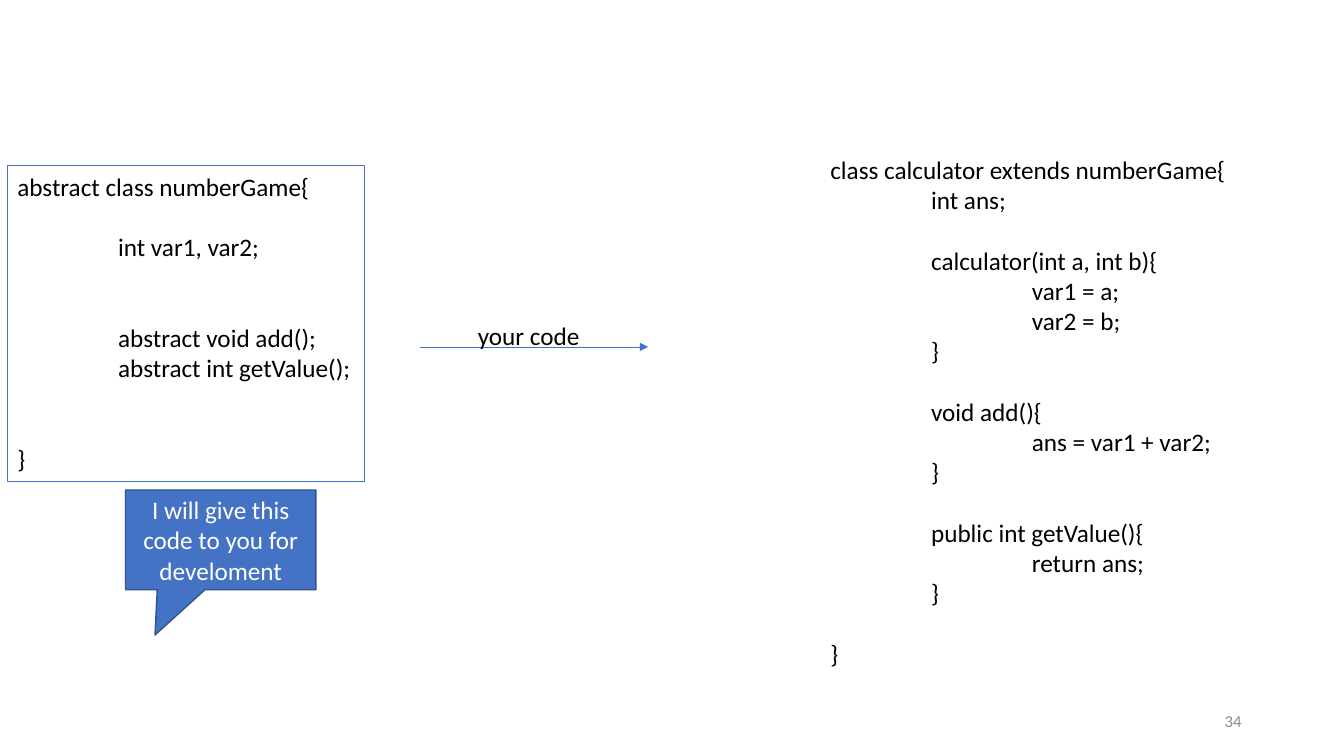
import pptx
import pptx.util
import pptx.dml.color
import pptx.enum.shapes
import pptx.enum.text
import pptx.oxml.ns
import lxml.etree

Pt = pptx.util.Pt
SHAPE = pptx.enum.shapes.MSO_SHAPE
ALIGN = pptx.enum.text.PP_ALIGN
ANCHOR = pptx.enum.text.MSO_ANCHOR
LINE_PITCH = 21.6
INDENT = 72

GAME_CODE = [
    (0, 0, "abstract class numberGame{"),
    (1, 1, "int var1, var2;"),
    (2, 1, "abstract void add();"),
    (0, 1, "abstract int getValue();"),
    (2, 0, "}"),
]
CALCULATOR_CODE = [
    (0, 0, "class calculator extends numberGame{"),
    (0, 1, "int ans;"),
    (1, 1, "calculator(int a, int b){"),
    (0, 2, "var1 = a;"),
    (0, 2, "var2 = b;"),
    (0, 1, "}"),
    (1, 1, "void add(){"),
    (0, 2, "ans = var1 + var2;"),
    (0, 1, "}"),
    (1, 1, "public int getValue(){"),
    (0, 2, "return ans;"),
    (0, 1, "}"),
    (1, 0, "}"),
]


def rgb(value):
    return pptx.dml.color.RGBColor.from_string(value)


def set_all(obj, values):
    for name, value in values.items():
        setattr(obj, name, value)


def outline(line, color, width):
    line.color.rgb = rgb(color)
    line.width = Pt(width)


def write(tf, lines, color="000000", size=18, align=ALIGN.LEFT, **frame):
    set_all(tf, {"word_wrap": True, "vertical_anchor": ANCHOR.TOP, **frame})
    for i, (gap, level, text) in enumerate(lines):
        p = tf.add_paragraph() if i else tf.paragraphs[0]
        set_all(p, {"alignment": align, "space_before": Pt(gap * LINE_PITCH)})
        p._p.get_or_add_pPr().set("marL", str(Pt(level * INDENT)))
        r = p.add_run()
        r.text = text
        set_all(r.font, {"name": "Calibri", "size": Pt(size)})
        r.font.color.rgb = rgb(color)


def add_text(s, box, lines, **style):
    sp = s.shapes.add_textbox(*map(Pt, box))
    write(sp.text_frame, lines, **style)


def add_framed_code(s, box, lines):
    sp = s.shapes.add_shape(SHAPE.RECTANGLE, *map(Pt, box))
    sp.shadow.inherit = False
    sp.fill.background()
    outline(sp.line, "4472C4", 0.75)
    write(sp.text_frame, lines)


def add_callout(s, box, text):
    sp = s.shapes.add_shape(SHAPE.RECTANGULAR_CALLOUT, *map(Pt, box))
    sp.shadow.inherit = False
    sp.adjustments[0], sp.adjustments[1] = -0.345, 0.953
    sp.fill.solid()
    sp.fill.fore_color.rgb = rgb("4472C4")
    outline(sp.line, "325491", 1)
    write(sp.text_frame, [(0, 0, text)], color="FFFFFF",
          align=ALIGN.CENTER, vertical_anchor=ANCHOR.MIDDLE)


def add_labelled_arrow(s, box, text):
    x, y, w, h = box
    arrow_y = y + 22.4
    cx = s.shapes.add_connector(
        pptx.enum.shapes.MSO_CONNECTOR.STRAIGHT,
        Pt(x), Pt(arrow_y), Pt(x + w), Pt(arrow_y))
    outline(cx.line, "4472C4", 0.5)
    qn = pptx.oxml.ns.qn
    props = cx._element.spPr
    lxml.etree.SubElement(props.find(qn("a:ln")), qn("a:tailEnd"), type="triangle")
    lxml.etree.SubElement(props, qn("a:effectLst"))
    add_text(s, (x + 34, y, 87.8, h), [(0, 0, text)], word_wrap=False)


def build_slide(prs):
    s = prs.slides.add_slide(prs.slide_layouts[6])
    add_labelled_arrow(s, (300.2, 225.4, 162.8, 28.8), "your code")
    add_callout(s, (89.7, 350, 136, 71.3), "I will give this code to you for develoment")
    add_framed_code(s, (5.3, 118.5, 255, 225.4), GAME_CODE)
    add_text(s, (586, 106.6, 305.3, 378), CALCULATOR_CODE)
    add_text(s, (678, 500.4, 216, 28.8), [(0, 0, "34")], color="8C8C8C",
             size=12, align=ALIGN.RIGHT, vertical_anchor=ANCHOR.MIDDLE)


def main():
    prs = pptx.Presentation()
    set_all(prs, {"slide_width": Pt(960), "slide_height": Pt(540)})
    build_slide(prs)
    prs.save("out.pptx")


if __name__ == "__main__":
    main()
